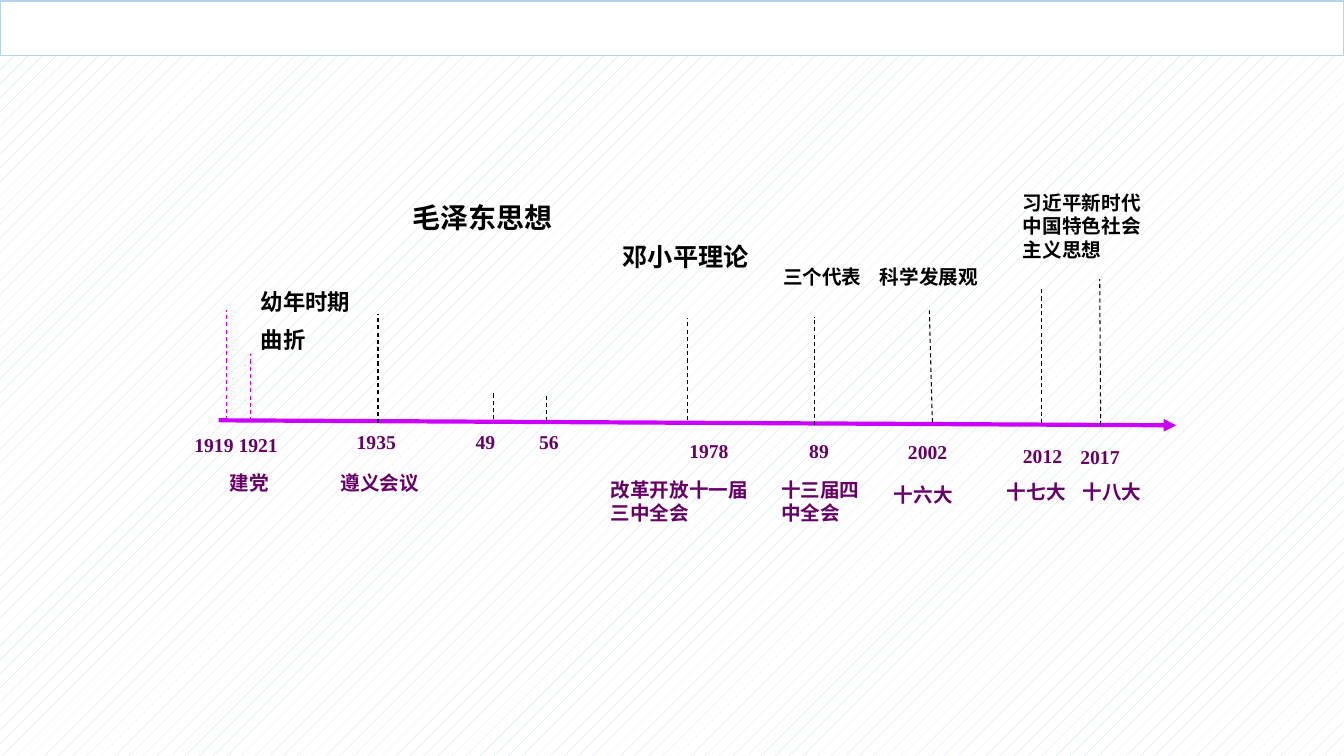
from dataclasses import dataclass
from lxml import etree
from pptx import Presentation
from pptx import util as u
from pptx.dml import color as c
from pptx.enum import dml, shapes as s, text as t
from pptx.oxml import ns


@dataclass(frozen=True)
class Theme:
    font: str = "Times New Roman"
    black: str = "000000"
    plum: str = "660066"
    pink: str = "CC00FF"
    white: str = "FFFFFF"
    sky: str = "B5D2EC"
    hatch: str = "BDD7EE"
    small: int = 14
    mid: int = 16
    large: int = 18
    huge: int = 20


LOOK = Theme()
WIDE, HIGH = 960, 540

TICKS = [
    (42, 180.24, 42, 101.76, LOOK.pink),
    (59.28, 181, 59.28, 132.7, LOOK.pink),
    (150, 182.4, 150, 104.6, LOOK.black),
    (232.8, 179.5, 232.8, 160.1, LOOK.black),
    (270.24, 181, 270.24, 161.5, LOOK.black),
    (371.04, 180.24, 371.04, 106.8, LOOK.black),
    (461.76, 183.84, 461.76, 106.1, LOOK.black),
    (546, 181.7, 543.84, 101.76, LOOK.black),
    (623.76, 182.4, 623.76, 85.2, LOOK.black),
    (666.24, 183.84, 665.52, 79.4, LOOK.black),
]

YEARS = [
    ("1919 1921", 11.76, 186, 77.76),
    ("1935", 127.68, 183.84, 50.4),
    ("49", 212.64, 183.84, 39.6),
    ("56", 258, 183.84, 39.6),
    ("1978", 365.28, 189.6, 56.88),
    ("89", 450.96, 189.6, 41.76),
    ("2002", 521.52, 191, 62.64),
    ("2012", 603.6, 193.2, 62.64),
    ("2017", 644.64, 193.9, 62.64),
]

EVENTS = [
    ("建党", 36.96, 212.64, 56.88),
    ("遵义会议", 116.16, 212.64, 77.76),
    ("改革开放十一届三中全会", 309.12, 217.68, 124.56, 2),
    ("十三届四中全会", 430.8, 217.68, 73.44, 2),
    ("十六大", 511.44, 221.28, 73.44),
    ("十七大", 592.08, 219.12, 73.44),
    ("十八大", 646.08, 219.12, 73.44),
]

IDEAS = [
    ("幼年时期\n曲折", 59.28, 82.32, 113.04, 2, LOOK.mid),
    ("毛泽东思想", 167.28, 19.68, 141.84, 1, LOOK.huge),
    ("邓小平理论", 317.76, 48.48, 113.04, 1, LOOK.large),
    ("三个代表", 432.24, 65.76, 77.76),
    ("科学发展观", 501.36, 65.76, 102.24),
    ("习近平新时代中国特色社会主义思想", 603.6, 12.48, 102.24, 3),
]


def apply(item, form):
    for key, val in form.items():
        setattr(item, key, val)


def tint(code):
    return c.RGBColor.from_string(code)


def stroke(slide, box, ends, hue, width, dash=None, head=False):
    left, top = box[:2]
    x1, y1, x2, y2 = ends
    line = slide.shapes.add_connector(
        s.MSO_CONNECTOR.STRAIGHT,
        u.Pt(left + x1), u.Pt(top + y1), u.Pt(left + x2), u.Pt(top + y2))
    line.line.color.rgb = tint(hue)
    apply(line.line, {"width": u.Pt(width), "dash_style": dash})
    if head:
        etree.SubElement(line.line._get_or_add_ln(), ns.qn("a:tailEnd"), type="triangle")
    etree.SubElement(line._element.spPr, ns.qn("a:effectLst"))


def label(slide, box, hue, words, x, y, wide, rows=1, size=LOOK.small):
    left, top = box[:2]
    high = rows * size * 1.22 + 7.2
    note = slide.shapes.add_textbox(
        u.Pt(left + x), u.Pt(top + y), u.Pt(wide), u.Pt(high))
    frame = note.text_frame
    apply(frame, {"word_wrap": True, "auto_size": t.MSO_AUTO_SIZE.SHAPE_TO_FIT_TEXT})
    frame.text = words
    for at, para in enumerate(frame.paragraphs):
        if at:
            para.space_before = u.Pt(size / 2)
        apply(para.font, {"name": LOOK.font, "size": u.Pt(size), "bold": True})
        para.font.color.rgb = tint(hue)


def header(slide, box):
    bar = slide.shapes.add_shape(
        s.MSO_SHAPE.FLOWCHART_PROCESS, *(u.Pt(v) for v in box))
    bar.shadow.inherit = False
    bar.fill.solid()
    bar.fill.fore_color.rgb = tint(LOOK.white)
    bar.line.color.rgb = tint(LOOK.sky)
    bar.line.width = u.Pt(1)


def timeline(slide, box):
    stroke(slide, box, (36.24, 180.24, box[2], 183.84), LOOK.pink, 3, head=True)
    for *ends, hue in TICKS:
        stroke(slide, box, ends, hue, 0.75, dml.MSO_LINE.DASH)
    for hue, group in ((LOOK.plum, YEARS + EVENTS), (LOOK.black, IDEAS)):
        for entry in group:
            label(slide, box, hue, *entry)


def backdrop(slide):
    fill = slide.background.fill
    fill.patterned()
    fill.pattern = dml.MSO_PATTERN.PERCENT_5
    fill.fore_color.rgb = tint(LOOK.hatch)
    fill.back_color.rgb = tint(LOOK.white)


def main():
    deck = Presentation()
    apply(deck, {"slide_width": u.Pt(WIDE), "slide_height": u.Pt(HIGH)})
    slide = deck.slides.add_slide(deck.slide_layouts[6])
    backdrop(slide)
    header(slide, (0, 0.72, WIDE, 38.88))
    timeline(slide, (120, 120, 720.24, 270))
    deck.save("out.pptx")


if __name__ == "__main__":
    main()
